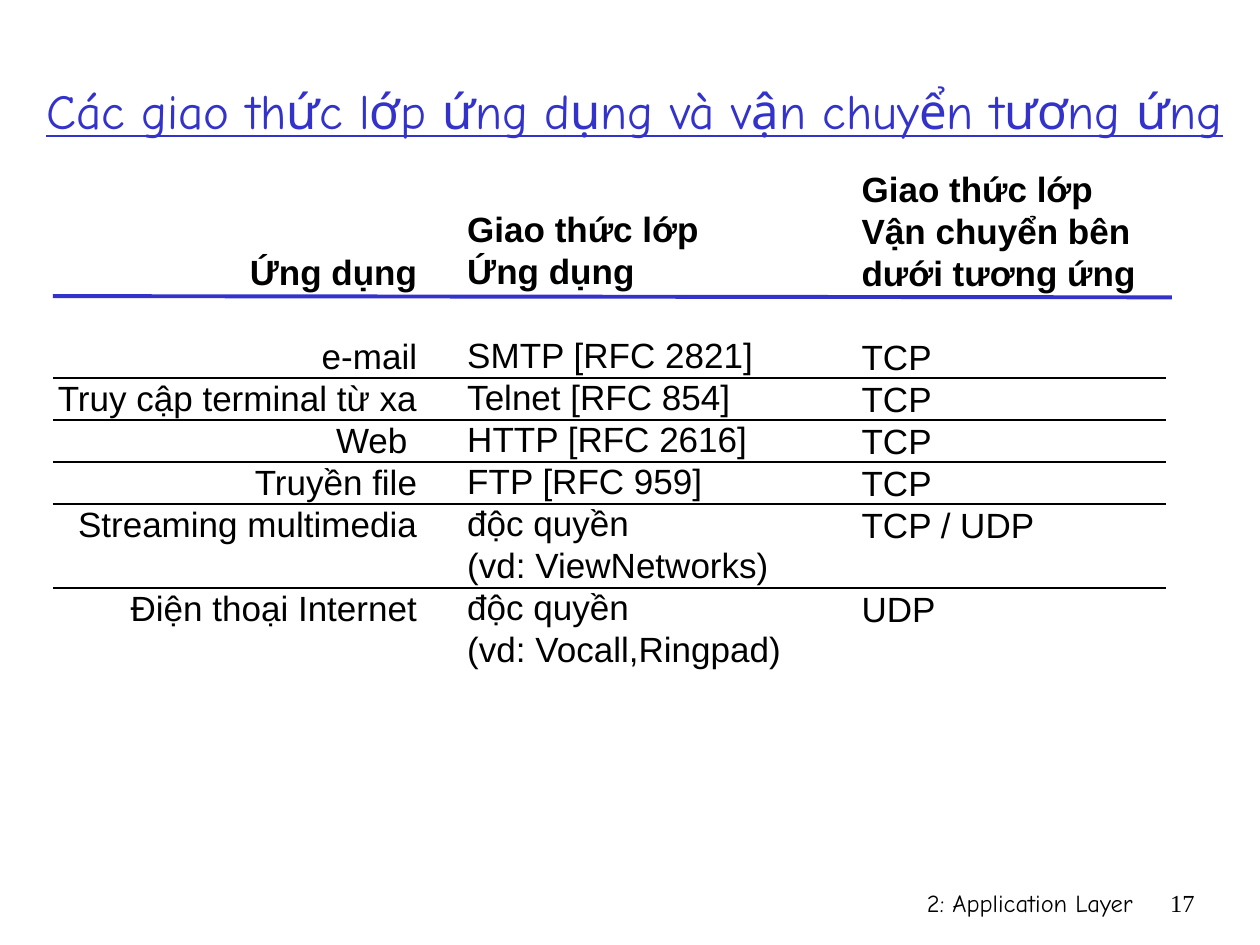
from dataclasses import dataclass

from lxml import etree
from pptx import Presentation
from pptx import util as u
from pptx.dml.color import RGBColor
from pptx.enum import shapes, text
from pptx.oxml.ns import qn


@dataclass(frozen=True)
class Theme:
    ink: RGBColor = RGBColor(0x00, 0x00, 0x00)
    accent: RGBColor = RGBColor(0x33, 0x33, 0xCC)
    display: str = "Comic Neue"
    body: str = "Arial"
    number: str = "Times New Roman"
    title_size: int = 28
    body_size: int = 20
    footer_size: int = 14
    line_pitch: int = 24
    heavy: float = 2.25
    thin: float = 1


THEME = Theme()
LEFT, RIGHT = text.PP_ALIGN.LEFT, text.PP_ALIGN.RIGHT

TITLE = "Các giao thức lớp ứng dụng và vận chuyển tương ứng"
FOOTER = "2: Application Layer"
PAGE = "17"

# Each column: box, alignment, heading, then entries as (text, blank lines above)
COLUMNS = [
    ((0.25, 1.94, 3.16, 3.44), RIGHT, ["Ứng dụng"],
     [("e-mail", 1), ("Truy cập terminal từ xa", 0), ("Web ", 0),
      ("Truyền file", 0), ("Streaming multimedia", 0),
      ("Điện thoại Internet", 1)]),
    ((3.61, 1.6, 2.91, 3.77), LEFT, ["Giao thức lớp", "Ứng dụng"],
     [("SMTP [RFC 2821]", 1), ("Telnet [RFC 854]", 0),
      ("HTTP [RFC 2616]", 0), ("FTP [RFC 959]", 0),
      ("độc quyền", 0), ("(vd: ViewNetworks)", 0),
      ("độc quyền", 0), ("(vd: Vocall,Ringpad)", 0)]),
    ((6.74, 1.28, 2.87, 3.77), LEFT,
     ["Giao thức lớp", "Vận chuyển bên dưới tương ứng"],
     [("TCP", 1), ("TCP", 0), ("TCP", 0), ("TCP", 0),
      ("TCP / UDP", 0), ("UDP", 1)]),
]

HEADER_RULE = (0.42, 2.35, 9.3, 2.36)
RULE_LEFT, RULE_RIGHT, FIRST_RULE = 0.42, 9.25, 3.0
RULE_STEPS = [0, 1, 2, 3, 5]  # text lines below the first rule


def add_box(s, box, anchor=text.MSO_ANCHOR.TOP):
    tf = s.shapes.add_textbox(*map(u.Inches, box)).text_frame
    tf.word_wrap = True
    tf.vertical_anchor = anchor
    return tf


def style(p, content, font, size, color=THEME.ink, align=LEFT, bold=False):
    p.text = content
    p.alignment = align
    p.font.name = font
    p.font.size = u.Pt(size)
    p.font.color.rgb = color
    p.font.bold = bold


def add_column(s, box, align, heading, entries):
    """Stack heading and entries on a fixed line pitch."""
    tf = add_box(s, box)
    lines = [(t, 0, True) for t in heading] + [(t, n, False) for t, n in entries]
    for i, (content, blanks, bold) in enumerate(lines):
        p = tf.add_paragraph() if i else tf.paragraphs[0]
        style(p, content, THEME.body, THEME.body_size, align=align, bold=bold)
        p.line_spacing = u.Pt(THEME.line_pitch)
        if blanks:
            p.space_before = u.Pt(blanks * THEME.line_pitch)


def add_rule(s, ends, color, width):
    line = s.shapes.add_connector(shapes.MSO_CONNECTOR.STRAIGHT,
                                  *map(u.Inches, ends))
    line.line.color.rgb = color
    line.line.width = u.Pt(width)
    etree.SubElement(line._element.spPr, qn("a:effectLst"))


def main():
    prs = Presentation()
    prs.slide_width, prs.slide_height = u.Inches(10), u.Inches(7.5)
    s = prs.slides.add_slide(prs.slide_layouts[6])

    for box, content, font in [((5.92, 7, 3.17, 0.5), FOOTER, THEME.display),
                               ((9.08, 7, 0.5, 0.5), PAGE, THEME.number)]:
        style(add_box(s, box).paragraphs[0], content, font,
              THEME.footer_size, align=RIGHT)

    title = add_box(s, (0.27, 0.25, 9.6, 1.25), text.MSO_ANCHOR.MIDDLE).paragraphs[0]
    style(title, TITLE, THEME.display, THEME.title_size, THEME.accent)
    title.font.underline = True

    for column in COLUMNS:
        add_column(s, *column)

    add_rule(s, HEADER_RULE, THEME.accent, THEME.heavy)
    for step in RULE_STEPS:
        y = FIRST_RULE + step * THEME.line_pitch / 72
        add_rule(s, (RULE_LEFT, y, RULE_RIGHT, y), THEME.ink, THEME.thin)

    prs.save("out.pptx")


if __name__ == "__main__":
    main()
